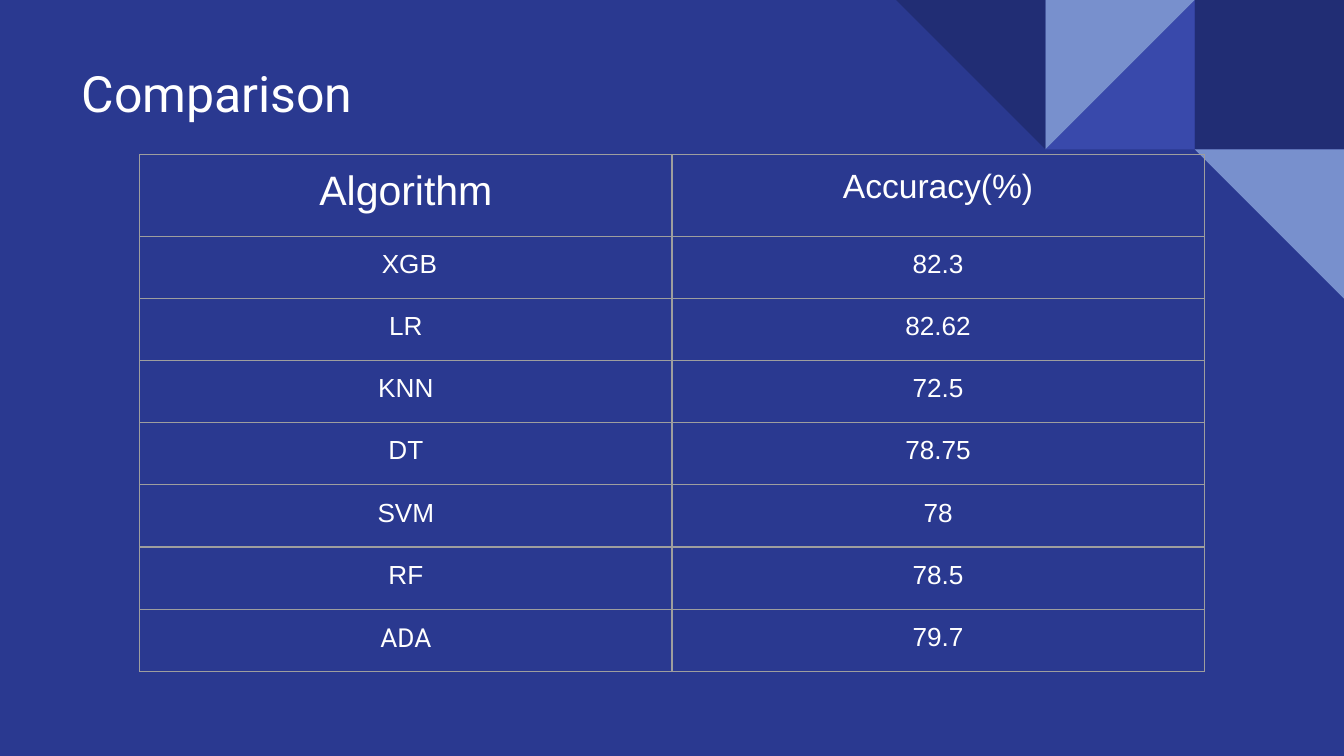
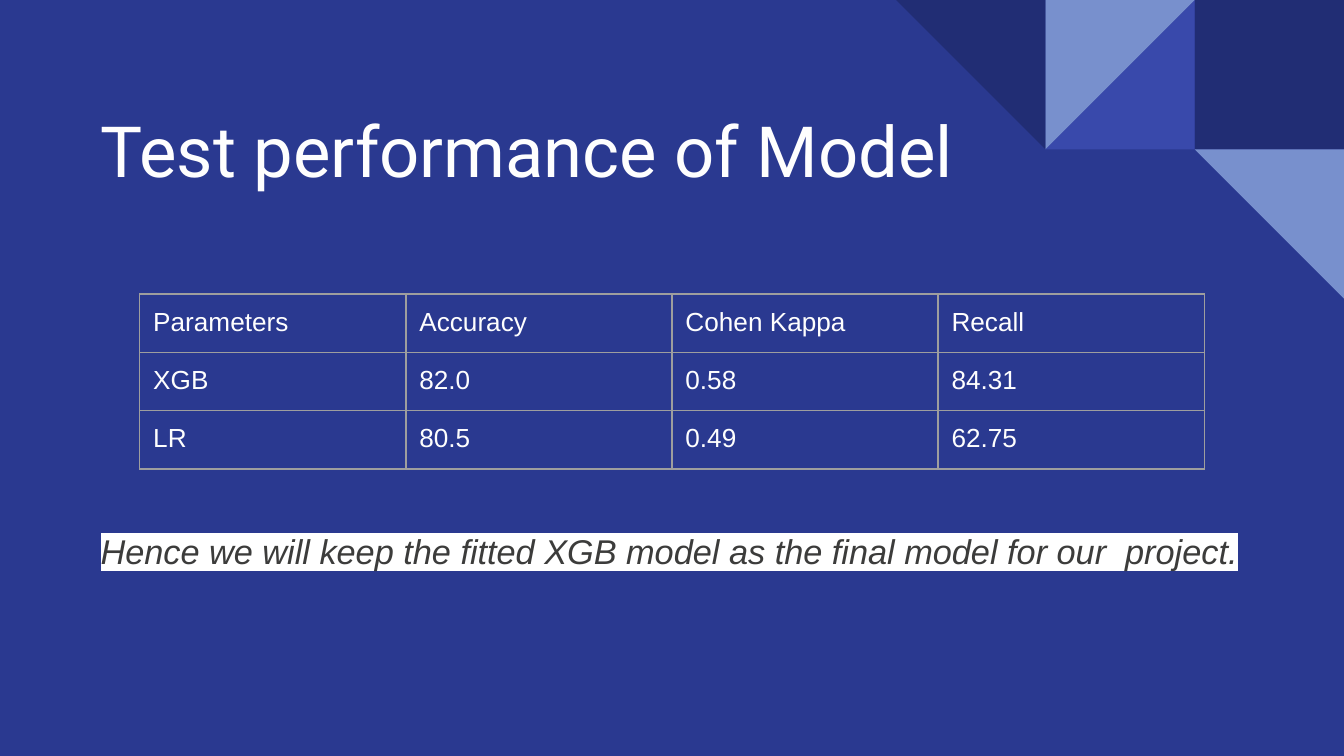
from dataclasses import dataclass

from lxml.etree import SubElement
from pptx import Presentation
from pptx.dml.color import RGBColor
from pptx.enum.shapes import MSO_SHAPE
from pptx.enum.text import MSO_ANCHOR, PP_ALIGN
from pptx.oxml.ns import qn
from pptx.util import Inches, Pt


@dataclass(frozen=True)
class Theme:
    background: str = "2A3990"
    navy: str = "212D74"
    indigo: str = "3949AB"
    sky: str = "7890CD"
    white: str = "FFFFFF"
    soft_white: str = "FEFEFE"
    ink: str = "3C3C3B"
    border: str = "9E9E9E"
    heading_font: str = "Roboto"
    body_font: str = "Arial"
    small_title: float = 26.8
    large_title: float = 37.8
    statement: float = 18.4
    main_header: float = 22
    side_header: float = 18
    body: float = 14
    border_width: float = 0.75
    inset: float = 0.1


THEME = Theme()


@dataclass(frozen=True)
class Span:
    text: str
    size: float = THEME.body
    color: str = THEME.white
    font: str = THEME.body_font
    italic: bool = False
    highlight: str = ""


def add_color(parent, color):
    fill = SubElement(parent, qn("a:solidFill"))
    SubElement(fill, qn("a:srgbClr"), val=color)


class Stage:
    corner_columns = 9

    def __init__(self, theme):
        self.theme = theme
        self.deck = Presentation()
        self.deck.slide_width = Inches(10)
        self.deck.slide_height = Inches(5.625)
        self.slide = None

    def across(self, percent):
        return round(self.deck.slide_width * percent / 100)

    def down(self, percent):
        return round(self.deck.slide_height * percent / 100)

    def add_page(self):
        self.slide = self.deck.slides.add_slide(self.deck.slide_layouts[6])
        fill = self.slide.background.fill
        fill.solid()
        fill.fore_color.rgb = RGBColor.from_string(self.theme.background)
        self.add_corner()

    def add_corner(self):
        group = self.slide.shapes.add_group_shape()
        triangle = MSO_SHAPE.RIGHT_TRIANGLE
        tiles = [
            (8, 0, MSO_SHAPE.RECTANGLE, self.theme.navy, 0, False),
            (7, 0, triangle, self.theme.indigo, 0, True),
            (7, 0, triangle, self.theme.sky, 180, True),
            (6, 0, triangle, self.theme.navy, 180, False),
            (8, 1, triangle, self.theme.sky, 180, False),
        ]
        side = self.deck.slide_width // self.corner_columns
        for column, row, kind, color, rotation, flipped in tiles:
            tile = group.shapes.add_shape(kind, column * side, row * side, side, side)
            tile.shadow.inherit = False
            tile.fill.solid()
            tile.fill.fore_color.rgb = RGBColor.from_string(color)
            tile.line.fill.background()
            tile.rotation = rotation
            if flipped:
                tile.element.spPr.find(qn("a:xfrm")).set("flipH", "1")

    def add_span(self, para, span):
        run = para.add_run()
        run.text = span.text
        run.font.size = Pt(span.size)
        run.font.italic = span.italic
        run.font.color.rgb = RGBColor.from_string(span.color)
        if span.highlight:
            mark = SubElement(run._r.get_or_add_rPr(), qn("a:highlight"))
            SubElement(mark, qn("a:srgbClr"), val=span.highlight)
        run.font.name = span.font

    def add_text(self, left, top, width, height, spans, gap=0, lift=0):
        box = self.slide.shapes.add_textbox(
            self.across(left), self.down(top), self.across(width), self.down(height)
        )
        frame = box.text_frame
        frame.word_wrap = True
        frame.vertical_anchor = MSO_ANCHOR.MIDDLE
        inset = Inches(self.theme.inset)
        frame.margin_left = frame.margin_right = frame.margin_top = inset
        frame.margin_bottom = inset + self.down(lift)
        for index, span in enumerate(spans):
            para = frame.add_paragraph() if index else frame.paragraphs[0]
            if index:
                para.space_before = Pt(gap)
            self.add_span(para, span)

    def add_table(self, top, row_heights, rows, align, left=10.4, width=79.2):
        count = len(rows[0])
        table = self.slide.shapes.add_table(
            len(rows), count, self.across(left), self.down(top),
            self.across(width), self.down(sum(row_heights)),
        ).table
        table.first_row = False
        table.horz_banding = False
        for column in table.columns:
            column.width = self.across(width / count)
        for row, height in zip(table.rows, row_heights):
            row.height = self.down(height)
        for row, spans in zip(table.rows, rows):
            for cell, span in zip(row.cells, spans):
                self.style_cell(cell)
                para = cell.text_frame.paragraphs[0]
                para.alignment = align
                self.add_span(para, span)

    def style_cell(self, cell):
        inset = Inches(self.theme.inset)
        cell.margin_left = cell.margin_right = inset
        cell.margin_top = cell.margin_bottom = inset
        properties = cell._tc.get_or_add_tcPr()
        for edge in ("a:lnL", "a:lnR", "a:lnT", "a:lnB"):
            line = SubElement(properties, qn(edge), w=str(Pt(self.theme.border_width)))
            add_color(line, self.theme.border)
        cell.fill.background()


def build_comparison(stage):
    theme = stage.theme
    stage.add_page()
    stage.add_text(
        5.1, 8.36, 91.4, 7.82,
        [Span("Comparison", theme.small_title, font=theme.heading_font)],
    )
    scores = [
        (" XGB", "82.3"), ("LR", "82.62"), ("KNN", "72.5"), ("DT", "78.75"),
        ("SVM", "78"), ("RF", "78.5"),
    ]
    header = [Span("Algorithm", theme.main_header), Span("Accuracy(%)", theme.side_header)]
    rows = [header] + [[Span(text) for text in score] for score in scores]
    rows.append([Span("ADA", font=theme.heading_font), Span("79.7")])
    heights = [10.8] + [8.23] * (len(rows) - 1)
    stage.add_table(20.44, heights, rows, PP_ALIGN.CENTER)


def build_performance(stage):
    theme = stage.theme
    stage.add_page()
    title = Span(
        "Test performance of Model", theme.large_title, theme.soft_white, theme.heading_font
    )
    conclusion = Span(
        "Hence we will keep the fitted XGB model as the final model for our  project.",
        theme.statement, theme.ink, italic=True, highlight=theme.white,
    )
    stage.add_text(6.5, 41.78, 89.9, 16.36, [title, conclusion], gap=181.4, lift=10.3)
    results = [
        ("Parameters", "Accuracy", "Cohen Kappa", "Recall"),
        ("XGB", "82.0", "0.58", "84.31"),
        ("LR", "80.5", "0.49", "62.75"),
    ]
    rows = [[Span(text, color=theme.soft_white) for text in result] for result in results]
    stage.add_table(38.9, [7.41] * len(rows), rows, PP_ALIGN.LEFT)


def main():
    stage = Stage(THEME)
    build_comparison(stage)
    build_performance(stage)
    stage.deck.save("out.pptx")


if __name__ == "__main__":
    main()
